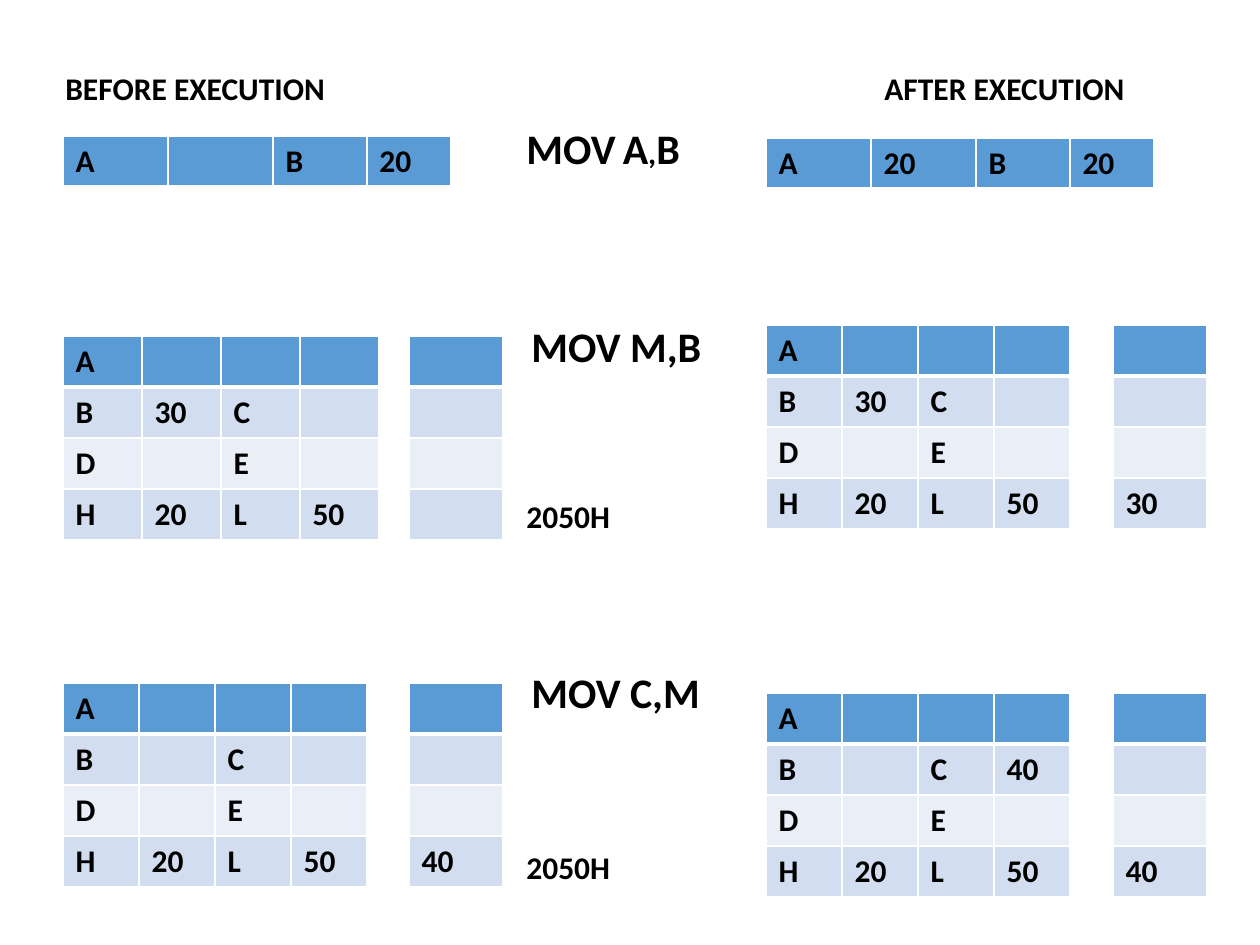
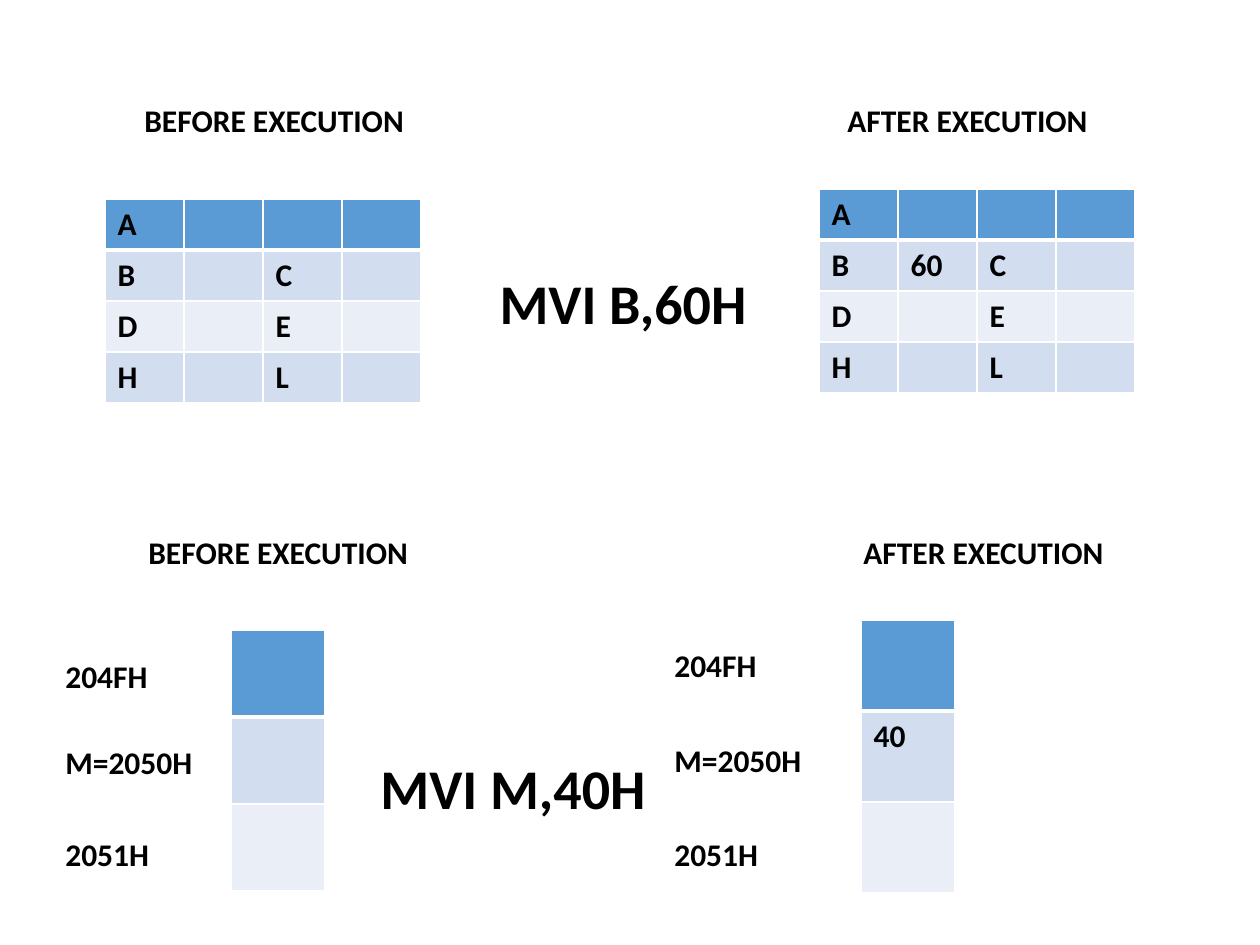
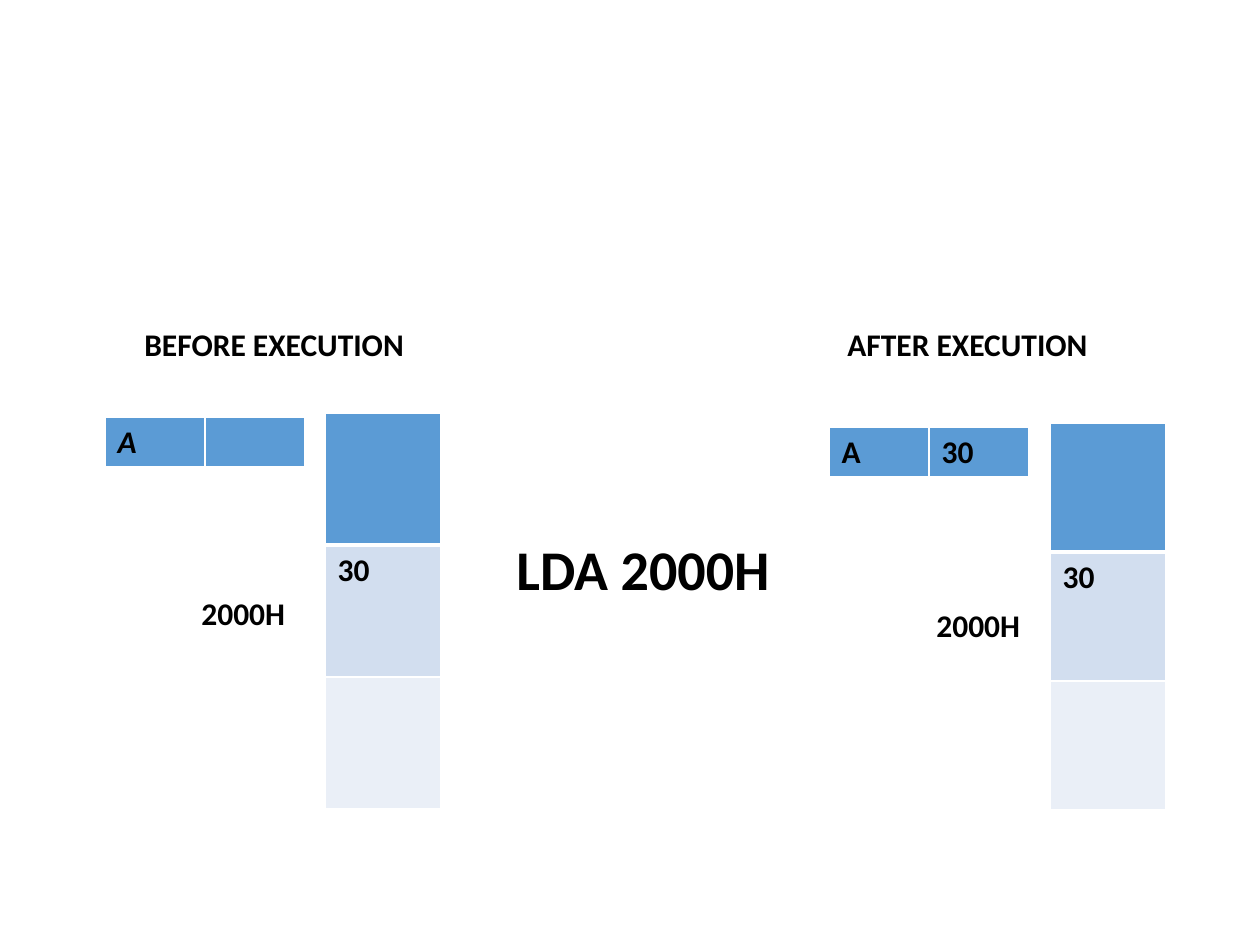
"""Build three slides on how data transfer instructions change registers and memory."""
import pptx
import pptx.dml.color
import pptx.enum.text
import pptx.oxml
import pptx.oxml.ns
import pptx.util

SCALE = 914400 / 126
COLORS = {"text": "000000", "border": "FFFFFF", "header": "5B9BD5",
          "odd": "D2DEEF", "even": "EAEFF7"}
FONT = "Calibri"
BODY, COMMAND, TITLE = 18, 24, 32
ROW = 51
BYTE = 94
PAIR_WIDTHS = [105, 105, 94, 84]


def px(length):
    """Turn pixels into EMU."""
    return pptx.util.Emu(round(length * SCALE))


def rgb(name):
    """Look up a named colour."""
    return pptx.dml.color.RGBColor.from_string(COLORS[name])


def add_span(para, text, size=BODY, italic=None):
    """Append a bold run in the deck font."""
    span = para.add_run()
    span.text = text
    formats = {"name": FONT, "size": pptx.util.Pt(size), "bold": True, "italic": italic}
    for key, value in formats.items():
        setattr(span.font, key, value)
    span.font.color.rgb = rgb("text")


def add_text(page, left, top, width, height, spans, wrap=True, indent=0):
    """Add a text box made of (text, size) spans."""
    box = page.shapes.add_textbox(px(left), px(top), px(width), px(height))
    frame = box.text_frame
    formats = {"word_wrap": wrap, "margin_left": px(12.6 + indent),
               "auto_size": pptx.enum.text.MSO_AUTO_SIZE.SHAPE_TO_FIT_TEXT}
    for key, value in formats.items():
        setattr(frame, key, value)
    for text, size in spans:
        add_span(frame.paragraphs[0], text, size)


def add_label(page, left, top, text, width=168, wrap=True):
    """Add a one-line label in body size."""
    add_text(page, left, top, width, 50, [(text, BODY)], wrap)


def add_headings(page, before_left, after_left, top):
    """Add the pair of headings over the two states."""
    add_label(page, before_left, top, "BEFORE EXECUTION", 287, False)
    add_label(page, after_left, top, "AFTER EXECUTION", 267, False)


def set_borders(cell, row):
    """Draw thin white borders, with a thick one under the header row."""
    widths = {"lnL": 1, "lnR": 1, "lnT": 3 if row == 1 else 1, "lnB": 3 if row == 0 else 1}
    properties = cell._tc.get_or_add_tcPr()
    for edge, points in widths.items():
        properties.append(pptx.oxml.parse_xml(
            f'<a:{edge} {pptx.oxml.ns.nsdecls("a")} w="{pptx.util.Pt(points)}">'
            f'<a:solidFill><a:srgbClr val="{COLORS["border"]}"/></a:solidFill></a:{edge}>'))


def add_grid(page, left, top, widths, row_height, rows, italic=None):
    """Add a banded table from rows of cell texts."""
    frame = page.shapes.add_table(len(rows), len(widths), px(left), px(top),
                                  px(sum(widths)), px(row_height * len(rows)))
    table = frame.table
    for column, width in zip(table.columns, widths):
        column.width = px(width)
    for index, texts in enumerate(rows):
        table.rows[index].height = px(row_height)
        band = "header" if index == 0 else "odd" if index % 2 else "even"
        for column, text in enumerate(texts):
            cell = table.cell(index, column)
            set_borders(cell, index)
            cell.fill.solid()
            cell.fill.fore_color.rgb = rgb(band)
            if text:
                add_span(cell.text_frame.paragraphs[0], text, italic=italic)


def add_registers(page, left, top, column_width, **values):
    """Add the register table, filling in the given register values."""
    rows = [["A", values.get("A", ""), "", ""]]
    for first, second in ("BC", "DE", "HL"):
        rows.append([first, values.get(first, ""), second, values.get(second, "")])
    add_grid(page, left, top, [column_width] * 4, ROW, rows)


def add_memory(page, left, top, values, width=BYTE, row_height=ROW):
    """Add a single column of memory bytes."""
    add_grid(page, left, top, [width], row_height, [[value] for value in values])


def build_mov(page):
    """Show the three MOV forms."""
    add_label(page, 53, 63, "BEFORE EXECUTION", 483)
    add_label(page, 872, 63, "AFTER EXECUTION", 410)
    add_grid(page, 63, 136, PAIR_WIDTHS, ROW, [["A", "", "B", "20"]])
    add_grid(page, 766, 138, PAIR_WIDTHS, ROW, [["A", "20", "B", "20"]])
    add_text(page, 514, 116, 242, 63, [("MOV", COMMAND), (" ", BODY), ("A", COMMAND),
                                       (",", BODY), ("B", COMMAND)])
    add_text(page, 519, 314, 231, 63, [("MOV M,B", COMMAND)])
    add_text(page, 519, 660, 221, 63, [("MOV C,M", COMMAND)])
    pointer = {"H": "20", "L": "50"}
    states = [(63, 336, 79, 409, {"B": "30"}, ""), (766, 325, 76, 1113, {"B": "30"}, "30"),
              (63, 683, 76, 409, {}, "40"), (766, 693, 76, 1113, {"C": "40"}, "40")]
    for left, top, column_width, memory_left, values, byte in states:
        add_registers(page, left, top, column_width, **pointer, **values)
        add_memory(page, memory_left, top, ["", "", "", byte])
    for top in (491, 842):
        add_label(page, 514, top, "2050H", 110, False)


def build_mvi(page):
    """Show MVI into a register and into memory."""
    add_headings(page, 132, 835, 95)
    add_registers(page, 105, 199, 79)
    add_registers(page, 819, 189, 79, B="60")
    add_text(page, 462, 262, 325, 81, [("MVI B,60H", TITLE)], indent=25)
    add_headings(page, 136, 851, 527)
    add_memory(page, 231, 630, ["", "", ""], row_height=87)
    add_memory(page, 861, 620, ["", "40", ""], row_height=91)
    for left, tops in ((53, (651, 737, 829)), (662, (640, 735, 829))):
        for top, text in zip(tops, ("204FH", "M=2050H", "2051H")):
            add_label(page, left, top, text, 189)
    add_text(page, 368, 747, 294, 81, [("MVI M,40H", TITLE)])


def build_lda(page):
    """Show LDA loading the accumulator from memory."""
    add_headings(page, 132, 835, 319)
    add_grid(page, 105, 417, [100] * 2, ROW, [["A", ""]], italic=True)
    add_grid(page, 829, 427, [100] * 2, ROW, [["A", "30"]])
    add_memory(page, 325, 413, ["", "30", ""], 116, 132)
    add_memory(page, 1050, 423, ["", "30", ""], 116, 129)
    add_text(page, 504, 528, 284, 81, [("LDA 2000H", TITLE)])
    add_label(page, 189, 588, "2000H")
    add_label(page, 924, 600, "2000H")


def main():
    """Build and save the deck."""
    deck = pptx.Presentation()
    deck.slide_width, deck.slide_height = px(1260), px(945)
    for build in (build_mov, build_mvi, build_lda):
        build(deck.slides.add_slide(deck.slide_layouts[6]))
    deck.save("out.pptx")


main()
